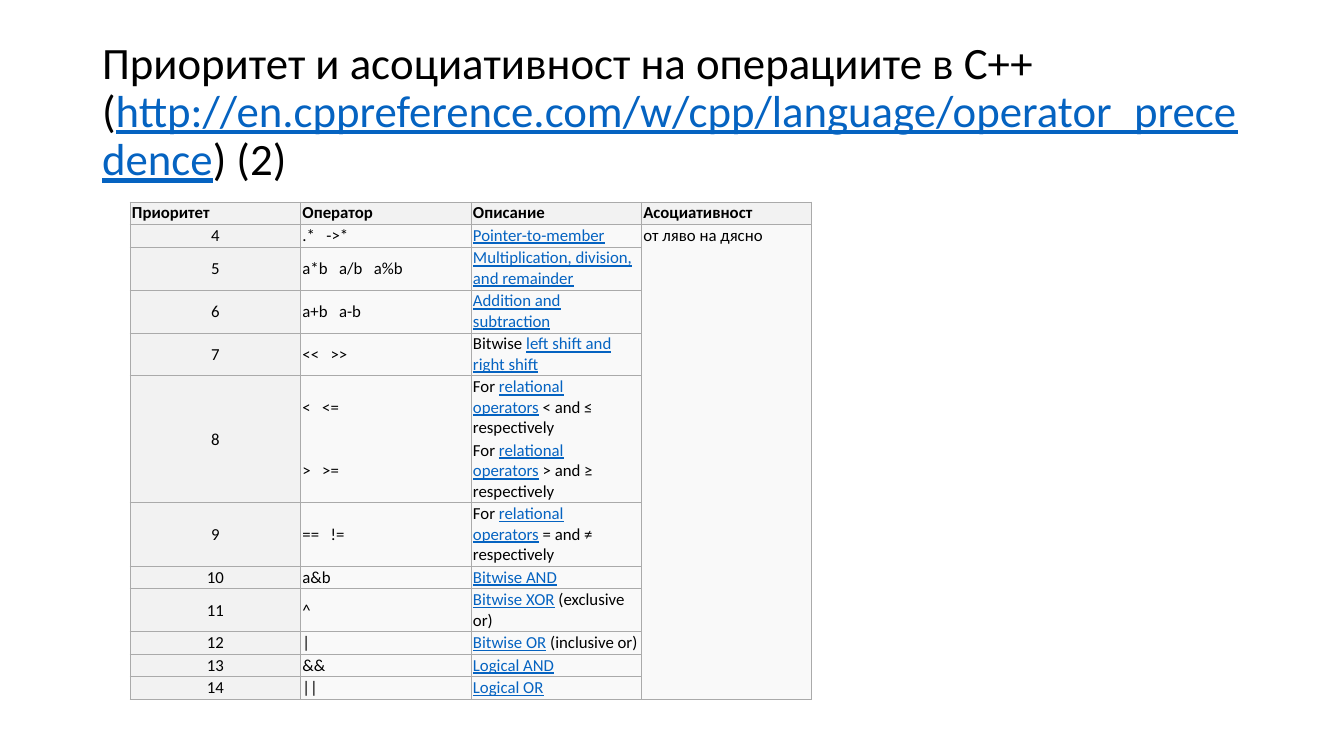
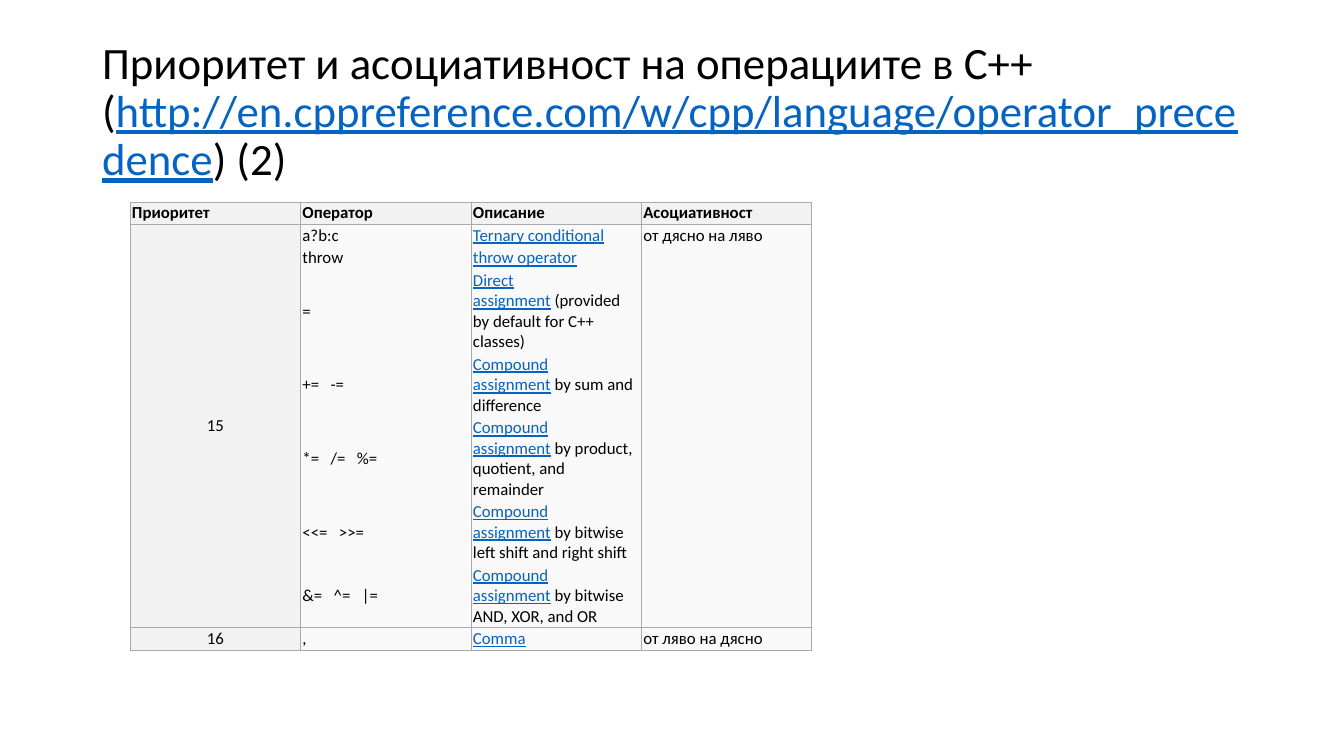
from lxml import etree
from pptx import Presentation
from pptx.dml.color import RGBColor
from pptx.enum.text import MSO_ANCHOR, MSO_AUTO_SIZE, PP_ALIGN
from pptx.oxml.ns import qn
from pptx.util import Emu, Pt

LEFT, CENTER = PP_ALIGN.LEFT, PP_ALIGN.CENTER
TOP, MIDDLE = MSO_ANCHOR.TOP, MSO_ANCHOR.MIDDLE
FIXED = MSO_AUTO_SIZE.NONE

# Shared look
WIDE, HIGH = 1344, 756
SCALE = 12192000 / WIDE
FONT = "Calibri"
COLORS = {"text": "000000", "link": "0563C1", "head": "F2F2F2",
          "body": "F9F9F9", "line": "AAAAAA"}
PLAIN = "{2D5ABB26-0587-4C30-8999-92F81FD0307C}"
HARD = chr(160)  # no-break space beside linked words
GAP = 540        # extra width between operators, 1/100 pt

# Content: square brackets mark linked words
TITLE = ("Приоритет и асоциативност на операциите в C++ "
         "([http://en.cppreference.com/w/cpp/language/operator_precedence]) (2)")
HEADS = ["Приоритет", "Оператор", "Описание", "Асоциативност"]
FROM_LEFT, FROM_RIGHT = "от ляво на дясно", "от дясно на ляво"

# Each block: associativity, then levels of (operators, description, lines)
BINARY = [(FROM_LEFT, [
    ("4", [(".* ->*", "[Pointer-to-member]", 1)]),
    ("5", [("a*b a/b a%b", "[Multiplication, division, and remainder]", 2)]),
    ("6", [("a+b a-b", "[Addition and subtraction]", 2)]),
    ("7", [("<< >>", "Bitwise [left shift and right shift]", 2)]),
    ("8", [("< <=", "For [relational operators] < and ≤ respectively", 3),
           ("> >=", "For [relational operators] > and ≥ respectively", 3)]),
    ("9", [("== !=", "For [relational operators] = and ≠ respectively", 3)]),
    ("10", [("a&b", "[Bitwise AND]", 1)]),
    ("11", [("^", "[Bitwise XOR] (exclusive or)", 2)]),
    ("12", [("|", "[Bitwise OR] (inclusive or)", 1)]),
    ("13", [("&&", "[Logical AND]", 1)]),
    ("14", [("||", "[Logical OR]", 1)]),
])]
ASSIGN = [
    (FROM_RIGHT, [("15", [
        ("a?b:c", "[Ternary conditional]", 1),
        ("throw", "[throw operator]", 1),
        ("=", "[Direct assignment] (provided by default for C++ classes)", 4),
        ("+= -=", "[Compound assignment] by sum and difference", 3),
        ("*= /= %=",
         "[Compound assignment] by product, quotient, and remainder", 4),
        ("<<= >>=",
         "[Compound assignment] by bitwise left shift and right shift", 3),
        ("&= ^= |=", "[Compound assignment] by bitwise AND, XOR, and OR", 3),
    ])]),
    (FROM_LEFT, [("16", [(",", "[Comma]", 1)])]),
]


def px(count):
    return Emu(round(count * SCALE))


def color(name):
    return RGBColor.from_string(COLORS[name])


def write(par, text, size=12, bold=False, align=LEFT, spread=False):
    """Fill a paragraph; spread widens the gaps between its words."""
    par.alignment = align
    if spread:
        words = text.replace(" ", "\n \n").split("\n")
        parts = [(word, False) for word in words]
    else:
        text = text.replace(" [", HARD + "[").replace("] ", "]" + HARD)
        before, _, rest = text.partition("[")
        link, _, after = rest.partition("]")
        parts = [(before, False), (link, True), (after, False)]
    for part, linked in parts:
        if not part:
            continue
        run = par.add_run()
        run.text = part
        font = run.font
        font.name, font.size, font.bold = FONT, Pt(size), bold
        font.underline = linked
        font.color.rgb = color("link" if linked else "text")
        if part == " ":
            font._element.set("spc", str(GAP))


def edge(cell, sides):
    """Draw the named sides (L, R, T, B) and leave the others open."""
    props = cell._tc.get_or_add_tcPr()
    for side in "LRTB":
        line = etree.SubElement(props, qn("a:ln" + side), w=str(Pt(0.75)))
        if side in sides:
            fill = etree.SubElement(line, qn("a:solidFill"))
            etree.SubElement(fill, qn("a:srgbClr"), val=COLORS["line"])
        else:
            etree.SubElement(line, qn("a:noFill"))


def fill_cell(cell, text, fill="body", sides="LRTB", anchor=MIDDLE, **style):
    edge(cell, sides)
    cell.fill.solid()
    cell.fill.fore_color.rgb = color(fill)
    cell.margin_left = cell.margin_right = px(2)
    cell.margin_top = cell.margin_bottom = px(1)
    cell.vertical_anchor = anchor
    write(cell.text_frame.paragraphs[0], text, **style)


def fill_span(table, col, first, last, text, **style):
    """Fill one cell that covers the rows first to last."""
    for row in range(first, last + 1):
        fill_cell(table.cell(row, col), text if row == first else "", **style)
    if last > first:
        table.cell(first, col).merge(table.cell(last, col))


def add_title(slide):
    title = slide.shapes.title
    title.left, title.top = px(92), px(40)
    title.width, title.height = px(1159), px(146)
    frame = title.text_frame
    frame.word_wrap, frame.auto_size = True, FIXED
    frame.vertical_anchor = MIDDLE
    par = frame.paragraphs[0]
    par.line_spacing = 0.9
    write(par, TITLE, size=32)


def add_grid(slide, blocks):
    lines = [1] + [entry[2] for _, levels in blocks
                   for _, entries in levels for entry in entries]
    frame = slide.shapes.add_table(len(lines), len(HEADS), px(130), px(202),
                                   px(682), px(22 * len(lines)))
    table = frame.table
    table.first_row = table.horz_banding = False
    table._tbl.tblPr.find(qn("a:tableStyleId")).text = PLAIN
    for row, count in zip(table.rows, lines):
        row.height = px(20 * count + 2)
    for col, head in enumerate(HEADS):
        fill_cell(table.cell(0, col), head, fill="head", bold=True)

    # Levels are open inside and framed outside
    row = 1
    for order, levels in blocks:
        start = row
        for level, entries in levels:
            first, last = row, row + len(entries) - 1
            fill_span(table, 0, first, last, level, fill="head", align=CENTER)
            for signs, about, _ in entries:
                sides = "LR" + "T" * (row == first) + "B" * (row == last)
                fill_cell(table.cell(row, 1), signs, sides=sides, spread=True)
                fill_cell(table.cell(row, 2), about, sides=sides)
                row += 1
        fill_span(table, 3, start, row - 1, order, anchor=TOP)


def main():
    deck = Presentation()
    deck.slide_width, deck.slide_height = px(WIDE), px(HIGH)
    for blocks in (BINARY, ASSIGN):
        slide = deck.slides.add_slide(deck.slide_layouts[5])
        add_title(slide)
        add_grid(slide, blocks)
    deck.save("out.pptx")


if __name__ == "__main__":
    main()
